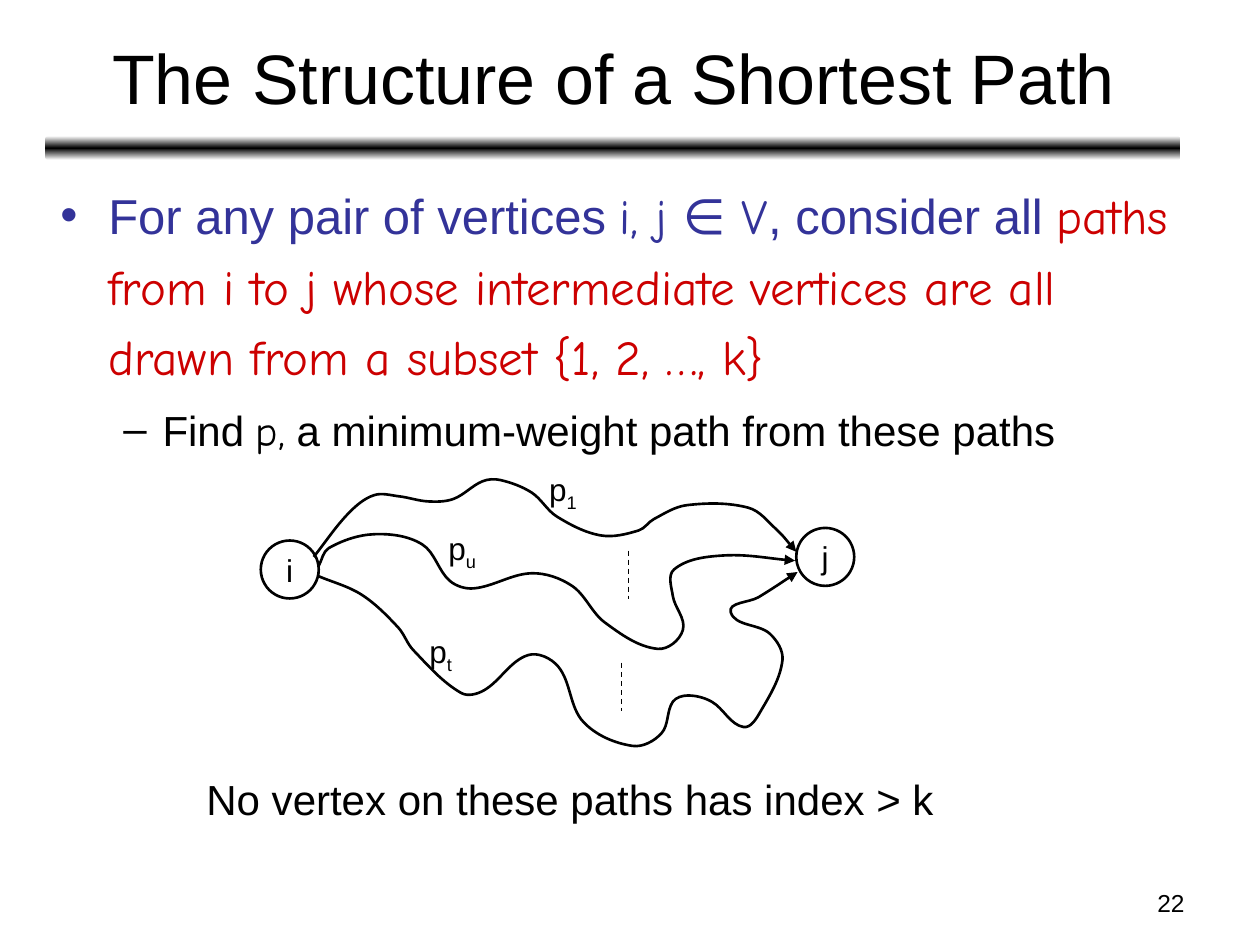
from copy import deepcopy
from math import dist

from lxml.etree import SubElement
from pptx import Presentation
from pptx.dml.color import RGBColor
from pptx.enum.dml import MSO_LINE
from pptx.enum.shapes import MSO_CONNECTOR, MSO_SHAPE
from pptx.enum.text import MSO_ANCHOR, MSO_AUTO_SIZE, PP_ALIGN
from pptx.oxml.ns import qn
from pptx.util import Inches, Pt

BLACK, WHITE, BLUE, RED = "000000", "FFFFFF", "333399", "CC0000"
SANS, HAND = "Arial", "Comic Neue"
VERTEX_SIZE, DASHES_LENGTH, LABEL_HEIGHT = 0.46, 0.38, 0.4

# Left and top of each vertex
VERTICES = {"i": (2.07, 4.29), "j": (6.32, 4.19)}

# Left, top and width of each route's label
LABELS = {"1": (4.26, 3.68, 0.43), "u": (3.46, 4.15, 0.43), "t": (3.31, 4.97, 0.39)}

# The bends that each route passes on its way from i to j
ROUTES = {
    "u": [(2.53, 4.49), (2.61, 4.35), (2.97, 4.24), (3.35, 4.32), (3.57, 4.61),
          (3.76, 4.67), (4.22, 4.55), (4.54, 4.65), (4.8, 4.94), (5.22, 5.15),
          (5.42, 5), (5.34, 4.73), (5.35, 4.52), (5.72, 4.41), (6.31, 4.45)],
    "1": [(2.49, 4.42), (2.77, 4.07), (2.97, 3.93), (3.17, 3.94), (3.4, 3.98),
          (3.6, 3.96), (3.83, 3.82), (3.97, 3.81), (4.22, 3.91), (4.42, 4.1),
          (4.77, 4.25), (5.07, 4.21), (5.19, 4.12), (5.45, 4.01), (5.94, 4.03),
          (6.16, 4.2), (6.32, 4.38)],
    "t": [(2.52, 4.57), (2.87, 4.72), (3.16, 4.98), (3.28, 5.16), (3.66, 5.5),
          (3.84, 5.48), (4.19, 5.2), (4.43, 5.29), (4.63, 5.73), (5.02, 5.92),
          (5.25, 5.82), (5.34, 5.57), (5.46, 5.52), (5.65, 5.57), (5.9, 5.77),
          (6.04, 5.64), (6.21, 5.24), (6.11, 5.03), (5.8, 4.86), (6.02, 4.74),
          (6.33, 4.54)],
}


def color(hex_value):
    return RGBColor.from_string(hex_value)


def set_all(target, values):
    for name, value in values.items():
        setattr(target, name, value)


def add_run(paragraph, text, size, font=SANS, ink=BLACK, subscript=False):
    run = paragraph.add_run()
    run.text = text
    set_all(run.font, {"size": Pt(size), "name": font})
    run.font.color.rgb = color(ink)
    if subscript:
        run.font._element.set("baseline", "-25000")


def place(placeholder, left, top, width, height):
    set_all(placeholder, {"left": Inches(left), "top": Inches(top),
                          "width": Inches(width), "height": Inches(height)})
    placeholder.text_frame.auto_size = MSO_AUTO_SIZE.NONE


def style_line(shape, width):
    shape.line.color.rgb = color(BLACK)
    shape.line.width = Pt(width)


def add_text(slide, box, text, size, subscript="", align=PP_ALIGN.LEFT, wrap=False):
    frame = slide.shapes.add_textbox(*map(Inches, box)).text_frame
    frame.word_wrap = wrap
    frame.paragraphs[0].alignment = align
    add_run(frame.paragraphs[0], text, size)
    if subscript:
        add_run(frame.paragraphs[0], subscript, size, subscript=True)


def add_bullet(paragraph, level, margin, indent, size, runs):
    set_all(paragraph, {"level": level, "line_spacing": 1.2})
    for name, value in {"marL": margin, "indent": indent}.items():
        paragraph._p.get_or_add_pPr().set(name, str(Inches(value)))
    for text, font, ink in runs:
        add_run(paragraph, text, size, font, ink)


def add_rule(slide):
    rule = slide.shapes.add_shape(
        MSO_SHAPE.ROUNDED_RECTANGLE, Inches(0.36), Inches(1.08), Inches(9.01), Inches(0.19))
    rule.shadow.inherit = False
    rule.line.fill.background()
    rule.fill.gradient()
    rule.fill.gradient_angle = 90
    # The default gradient has two stops; this one needs a third
    stops = rule._element.spPr.find(".//" + qn("a:gsLst"))
    stops.insert(1, deepcopy(stops[0]))
    for stop, position, ink in zip(rule.fill.gradient_stops, (0, 0.5, 1), (WHITE, BLACK, WHITE)):
        stop.position = position
        stop.color.rgb = color(ink)


def add_vertex(slide, name, left, top):
    vertex = slide.shapes.add_shape(
        MSO_SHAPE.OVAL, *map(Inches, (left, top, VERTEX_SIZE, VERTEX_SIZE)))
    vertex.shadow.inherit = False
    vertex.fill.background()
    style_line(vertex, 1.5)
    frame = vertex.text_frame
    set_all(frame, {"word_wrap": False, "vertical_anchor": MSO_ANCHOR.MIDDLE})
    frame.paragraphs[0].alignment = PP_ALIGN.CENTER
    add_run(frame.paragraphs[0], name, 18)


def smooth(bends):
    """Return two handles and an end point for the curve between each pair of bends.

    At a bend the curve runs parallel to the line between its two neighbours;
    each handle is a third as long as the distance to the next bend.
    """
    directions = []
    for before, after in zip(bends[:1] + bends, bends[1:] + bends[-1:]):
        length = dist(before, after)
        directions.append(((after[0] - before[0]) / length, (after[1] - before[1]) / length))
    points = []
    for index in range(len(bends) - 1):
        start, end = bends[index:index + 2]
        reach = dist(start, end) / 3
        (start_dx, start_dy), (end_dx, end_dy) = directions[index:index + 2]
        points += [(start[0] + reach * start_dx, start[1] + reach * start_dy),
                   (end[0] - reach * end_dx, end[1] - reach * end_dy), end]
    return points


def add_route(slide, bends):
    builder = slide.shapes.build_freeform(*map(Inches, bends[0]))
    builder.add_line_segments([(Inches(x), Inches(y)) for x, y in smooth(bends)], close=False)
    route = builder.convert_to_shape()
    route.shadow.inherit = False
    route.fill.background()
    style_line(route, 1.5)
    SubElement(route.line._get_or_add_ln(), qn("a:tailEnd"), type="triangle")
    # Turn every three straight segments into one cubic curve
    outline = route._element.spPr.find(".//" + qn("a:path"))
    segments = outline.findall(qn("a:lnTo"))
    for first in range(0, len(segments), 3):
        curve = SubElement(outline, qn("a:cubicBezTo"))
        for segment in segments[first:first + 3]:
            curve.append(segment[0])
            outline.remove(segment)


def add_dashes(slide, x, top):
    dashes = slide.shapes.add_connector(
        MSO_CONNECTOR.STRAIGHT, *map(Inches, (x, top, x, top + DASHES_LENGTH)))
    style_line(dashes, 0.75)
    dashes.line.dash_style = MSO_LINE.DASH
    SubElement(dashes._element.spPr, qn("a:effectLst"))


def main():
    deck = Presentation()
    set_all(deck, {"slide_width": Inches(10), "slide_height": Inches(7.5)})
    slide = deck.slides.add_slide(deck.slide_layouts[1])
    title, body = slide.placeholders

    # Heading, rule and page number
    add_rule(slide)
    place(title, 0.37, 0.11, 9, 0.99)
    add_run(title.text_frame.paragraphs[0], "The Structure of a Shortest Path", 40)
    add_text(slide, (7.17, 7, 2.33, 0.35), "22", 14, align=PP_ALIGN.RIGHT, wrap=True)

    # Statement
    place(body, 0.38, 1.33, 9, 2.68)
    add_bullet(body.text_frame.paragraphs[0], 0, 0.38, -0.38, 28, [
        ("For any pair of vertices ", SANS, BLUE), ("i, j ∈ V", HAND, BLUE),
        (", consider all ", SANS, BLUE),
        ("paths from i to j whose intermediate vertices are all drawn from a subset "
         "{1, 2, …, k}", HAND, RED)])
    add_bullet(body.text_frame.add_paragraph(), 1, 0.81, -0.31, 24, [
        ("Find ", SANS, BLACK), ("p,", HAND, BLACK),
        (" a minimum-weight path from these paths", SANS, BLACK)])

    # Vertices, the routes between them, and dashes for the routes left out
    for name, (left, top) in VERTICES.items():
        add_vertex(slide, name, left, top)
    for bends in ROUTES.values():
        add_route(slide, bends)
    for x, top in ((4.99, 4.37), (4.93, 5.26)):
        add_dashes(slide, x, top)

    # Route labels and caption
    for index, box in LABELS.items():
        add_text(slide, (*box, LABEL_HEIGHT), "p", 18, subscript=index)
    add_text(slide, (1.54, 6.09, 5.97, 0.5), "No vertex on these paths has index > k", 24)
    deck.save("out.pptx")


if __name__ == "__main__":
    main()
